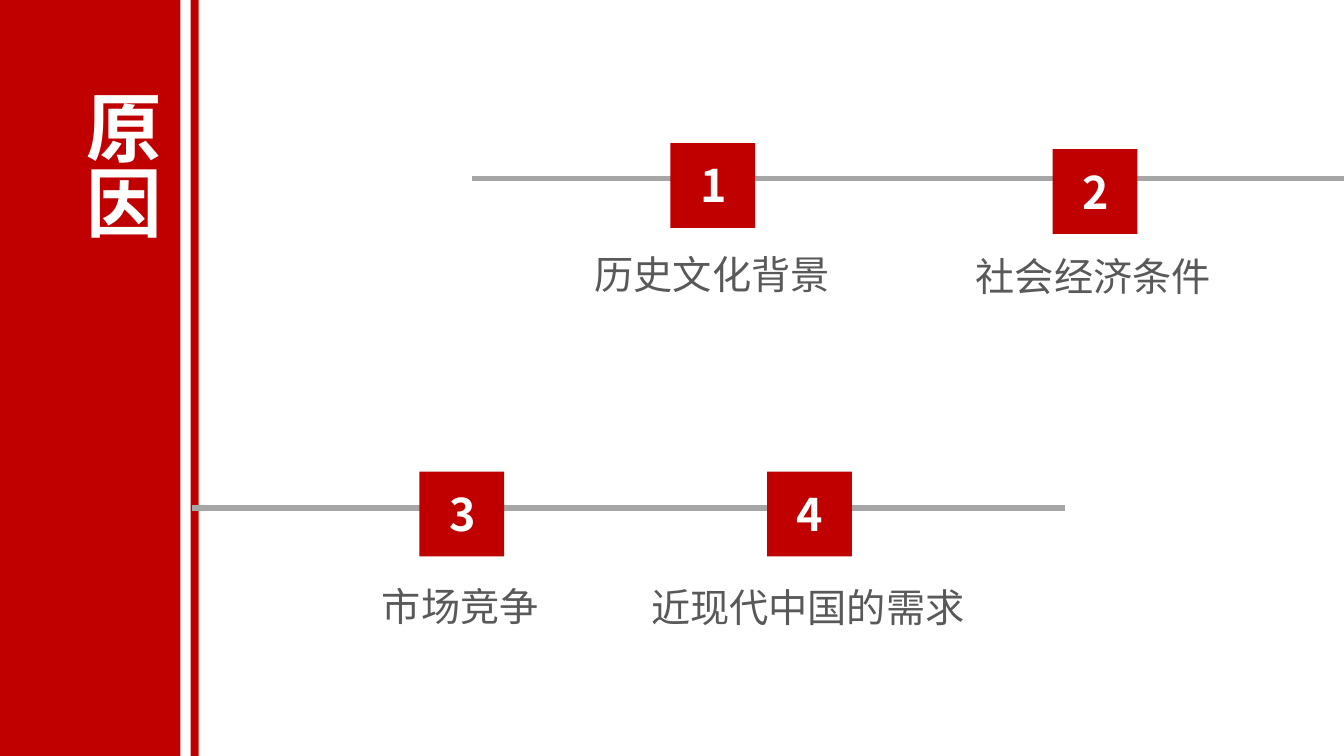
from dataclasses import dataclass
from pptx import Presentation
from pptx.dml.color import RGBColor
from pptx.enum.shapes import MSO_CONNECTOR, MSO_SHAPE
from pptx.enum.text import MSO_AUTO_SIZE, PP_ALIGN
from pptx.oxml.ns import qn
from pptx.util import Pt
from lxml.etree import SubElement

PX = 9144


@dataclass(frozen=True)
class Theme:
    """Colours, type sizes and font of the slide."""
    red: str = "C00000"
    grey: str = "A6A6A6"
    ink: str = "595959"
    white: str = "FFFFFF"
    face: str = "Noto Sans CJK SC"
    title: int = 54
    badge: int = 32
    label: int = 28
    rule: int = 4


class Page:
    """Draws the elements of one slide in one theme."""

    def __init__(self, slide, theme):
        self.slide, self.theme = slide, theme

    def bar(self, *box):
        """Add a plain red rectangle."""
        shape = self.slide.shapes.add_shape(MSO_SHAPE.RECTANGLE, *(n * PX for n in box))
        shape.shadow.inherit = False
        shape.fill.solid()
        shape.fill.fore_color.rgb = RGBColor.from_string(self.theme.red)
        shape.line.fill.background()

    def rule(self, left, right, y):
        """Add a level grey line."""
        line = self.slide.shapes.add_connector(
            MSO_CONNECTOR.STRAIGHT, left * PX, y * PX, right * PX, y * PX)
        line.line.color.rgb = RGBColor.from_string(self.theme.grey)
        line.line.width = Pt(self.theme.rule)
        SubElement(line._element.spPr, qn("a:effectLst"))

    def text(self, words, box, size, color, bold=False, align=PP_ALIGN.LEFT,
             wrap=True, vert=None):
        """Add a one-line text box."""
        frame = self.slide.shapes.add_textbox(*(n * PX for n in box)).text_frame
        form = {"word_wrap": wrap, "auto_size": MSO_AUTO_SIZE.SHAPE_TO_FIT_TEXT}
        for key, value in form.items():
            setattr(frame, key, value)
        if vert:
            frame._txBody.bodyPr.set("vert", vert)
        para = frame.paragraphs[0]
        para.alignment = align
        run = para.add_run()
        run.text = words
        form = {"name": self.theme.face, "size": Pt(size), "bold": bold}
        for key, value in form.items():
            setattr(run.font, key, value)
        run.font.color.rgb = RGBColor.from_string(color)
        SubElement(run._r.rPr, qn("a:ea"), typeface=self.theme.face)

    def badge(self, mark, left, top, high):
        """Add a red square with a number."""
        self.bar(left, top, 84, 84)
        self.text(mark, (left - 11, top + 10, 107, high), self.theme.badge,
                  self.theme.white, True, PP_ALIGN.CENTER)

    def label(self, words, left, top):
        """Add a grey caption as wide as its words."""
        wide = 20 + 39 * len(words)
        self.text(words, (left, top, wide, 57), self.theme.label,
                  self.theme.ink, wrap=False)


def main():
    """Build the slide and save it."""
    deck = Presentation()
    deck.slide_width, deck.slide_height = 1333 * PX, 750 * PX
    theme = Theme()
    page = Page(deck.slides.add_slide(deck.slide_layouts[6]), theme)
    for left, wide in ((0, 179), (189, 8)):
        page.bar(left, 0, wide, 750)
    page.text("原因", (60, 79, 111, 197), theme.title, theme.white, True,
              PP_ALIGN.JUSTIFY, vert="eaVert")
    for rule in ((468, 1333, 177), (190, 1056, 504)):
        page.rule(*rule)
    causes = (
        ("1", 665, 142, 72, "历史文化背景", 580, 243),
        ("2", 1044, 148, 72, "社会经济条件", 958, 245),
        ("3", 416, 468, 64, "市场竞争", 369, 573),
        ("4", 761, 468, 64, "近现代中国的需求", 636, 574),
    )
    for mark, left, top, high, words, start, base in causes:
        page.badge(mark, left, top, high)
        page.label(words, start, base)
    deck.save("out.pptx")


if __name__ == "__main__":
    main()
